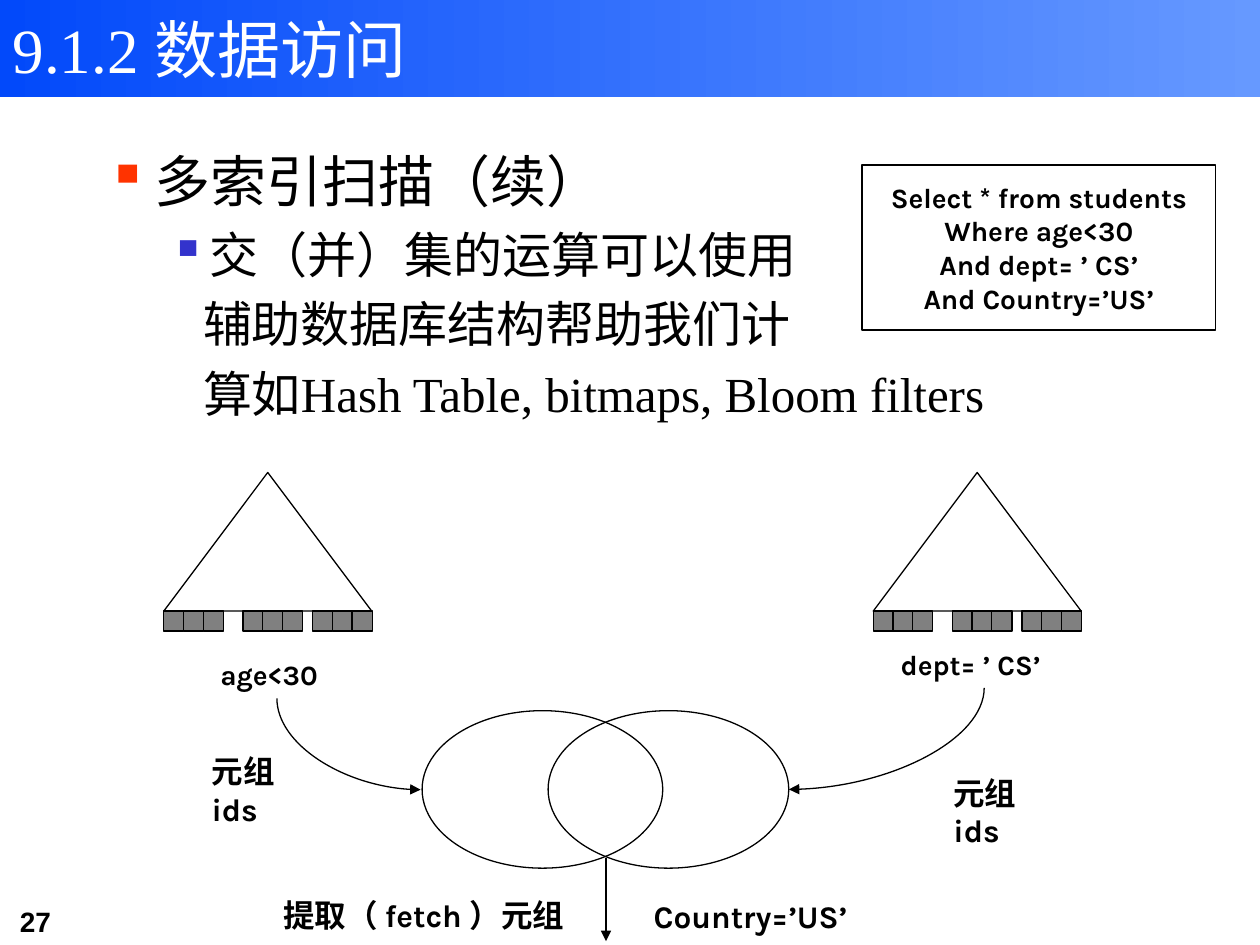
from dataclasses import dataclass

from lxml.etree import SubElement
from pptx import Presentation
from pptx.dml.color import RGBColor
from pptx.enum.shapes import MSO_CONNECTOR, MSO_SHAPE
from pptx.enum.text import MSO_ANCHOR, PP_ALIGN
from pptx.oxml.ns import qn
from pptx.util import Pt


@dataclass(frozen=True)
class Theme:
    black: str = "000000"
    white: str = "FFFFFF"
    cell: str = "808080"
    band_start: str = "0249FA"
    band_end: str = "6699FF"
    first_bullet: str = "FF3300"
    second_bullet: str = "3333CC"
    serif: str = "Times New Roman"
    label: str = "Karla"
    number: str = "Arial"
    chinese: str = "Noto Sans CJK SC"
    title_size: float = 36
    topic_size: float = 32
    detail_size: float = 28
    caption_size: float = 18
    small_size: float = 16
    line_width: float = 0.75


@dataclass(frozen=True)
class Label:
    text: str
    left: float
    top: float
    width: float
    height: float
    size: float
    font: str
    right_inset: float = 7.2


@dataclass(frozen=True)
class BodyLine:
    text: str
    size: float
    spacing: float
    before: float
    margin: float
    indent: float = 0
    level: int = 0
    bullet: str = ""


@dataclass(frozen=True)
class Curve:
    left: float
    top: float
    width: float
    height: float
    rotation: int
    flipped: bool


THEME = Theme()
LABELS = (
    Label("27", 4.3, 513.4, 88, 26.6, THEME.small_size, THEME.number),
    Label("age<30", 118.8, 372.2, 80.6, 26.6, THEME.small_size, THEME.label),
    Label("dept= ’ CS’", 507.6, 366.5, 109.4, 26.6, THEME.small_size, THEME.label),
    Label("元组ids", 113.8, 426.2, 77, 28.8, THEME.caption_size, THEME.label, 22),
    Label("元组ids", 537.8, 438.5, 77, 28.8, THEME.caption_size, THEME.label, 22),
    Label("Country=’US’", 366.5, 509, 192.2, 28.8, THEME.caption_size, THEME.label),
    Label("提取（ fetch ）元组", 154.8, 508.3, 249.8, 28.8, THEME.caption_size, THEME.label),
)
BODY = (
    BodyLine("多索引扫描（续）", THEME.topic_size, 41.8, 0, 27, -27, 0, THEME.first_bullet),
    BodyLine("交（并）集的运算可以使用", THEME.detail_size, 34, 5.6, 58.5, -22.5, 1, THEME.second_bullet),
    BodyLine("辅助数据库结构帮助我们计", THEME.detail_size, 34, 5.6, 55, level=1),
    BodyLine("算如Hash Table, bitmaps, Bloom filters", THEME.detail_size, 34, 5.6, 55, level=1),
)
QUERY = ("Select * from students", "Where age<30", "And dept= ’ CS’", "And Country=’US’")
INDEX_LEFTS = (93.6, 499)
LEAF_GROUPS = (0, 45.2, 85)
LEAF_PITCH = 11.3
LEAF_SIZE = 11.5
CURVES = (
    Curve(173.2, 384.1, 52.2, 82.1, 270, True),
    Curve(477.6, 366.3, 58, 111.6, 90, False),
)


def write(para, text, *, size, font, color=THEME.black, bold=False, align=PP_ALIGN.LEFT):
    para.alignment = align
    span = para.add_run()
    span.text = text
    span.font.size = Pt(size)
    span.font.bold = bold
    span.font.name = font
    span.font.color.rgb = RGBColor.from_string(color)
    SubElement(span.font._element, qn("a:ea")).set("typeface", THEME.chinese)


def add_figure(page, kind, left: float, top: float, width: float, height: float, fill: str = ""):
    shape = page.shapes.add_shape(kind, Pt(left), Pt(top), Pt(width), Pt(height))
    shape.shadow.inherit = False
    if fill:
        shape.fill.solid()
        shape.fill.fore_color.rgb = RGBColor.from_string(fill)
    else:
        shape.fill.background()
    shape.line.color.rgb = RGBColor.from_string(THEME.black)
    shape.line.width = Pt(THEME.line_width)
    return shape


def add_title(page) -> None:
    band = add_figure(page, MSO_SHAPE.RECTANGLE, 0, 0, 720, 55.4)
    band.line.fill.background()
    band.fill.gradient()
    band.fill.gradient_angle = 0
    for stop, color in zip(band.fill.gradient_stops, (THEME.band_start, THEME.band_end)):
        stop.color.rgb = RGBColor.from_string(color)
    page.shapes._spTree.insert(2, band._element)
    title = page.shapes.title
    title.left, title.top, title.width, title.height = Pt(0), Pt(0), Pt(566), Pt(94.3)
    title.text_frame.vertical_anchor = MSO_ANCHOR.TOP
    para = title.text_frame.paragraphs[0]
    para.line_spacing = Pt(45.6)
    write(para, "9.1.2 数据访问", size=THEME.title_size, font=THEME.serif, color=THEME.white)


def add_body(page) -> None:
    frame = page.shapes.add_textbox(Pt(54), Pt(77), Pt(612), Pt(181.4)).text_frame
    frame.word_wrap = True
    for number, line in enumerate(BODY):
        para = frame.add_paragraph() if number else frame.paragraphs[0]
        para.level = line.level
        properties = para._p.get_or_add_pPr()
        properties.set("marL", str(Pt(line.margin)))
        properties.set("indent", str(Pt(line.indent)))
        if line.bullet:
            color = SubElement(properties, qn("a:buClr"))
            SubElement(color, qn("a:srgbClr")).set("val", line.bullet)
            SubElement(properties, qn("a:buChar")).set("char", "▪")
        para.line_spacing = Pt(line.spacing)
        para.space_before = Pt(line.before)
        write(para, line.text, size=line.size, font=THEME.serif)


def add_query(page) -> None:
    box = add_figure(page, MSO_SHAPE.RECTANGLE, 492.5, 94.3, 202.3, 94.3, THEME.white)
    frame = box.text_frame
    frame.vertical_anchor = MSO_ANCHOR.MIDDLE
    for number, text in enumerate(QUERY):
        para = frame.add_paragraph() if number else frame.paragraphs[0]
        write(para, text, size=THEME.small_size, font=THEME.label, bold=True, align=PP_ALIGN.CENTER)


def add_index(page, left: float) -> None:
    add_figure(page, MSO_SHAPE.ISOSCELES_TRIANGLE, left, 270, 118.8, 79.2, THEME.white)
    for start in LEAF_GROUPS:
        for place in range(3):
            add_figure(page, MSO_SHAPE.RECTANGLE, left + start + place * LEAF_PITCH, 349.2,
                       LEAF_SIZE, LEAF_SIZE, THEME.cell)


def add_label(page, label: Label) -> None:
    box = page.shapes.add_textbox(Pt(label.left), Pt(label.top), Pt(label.width), Pt(label.height))
    frame = box.text_frame
    frame.word_wrap = True
    frame.margin_right = Pt(label.right_inset)
    write(frame.paragraphs[0], label.text, size=label.size, font=label.font, bold=True)


def add_arrow(page, kind, x1: float, y1: float, x2: float, y2: float):
    arrow = page.shapes.add_connector(kind, Pt(x1), Pt(y1), Pt(x2), Pt(y2))
    arrow.line.color.rgb = RGBColor.from_string(THEME.black)
    arrow.line.width = Pt(THEME.line_width)
    SubElement(arrow.line._get_or_add_ln(), qn("a:tailEnd")).set("type", "triangle")
    SubElement(arrow._element.spPr, qn("a:effectLst"))
    return arrow


def add_curve(page, curve: Curve) -> None:
    sides = (curve.left, curve.left + curve.width)
    start, end = reversed(sides) if curve.flipped else sides
    arrow = add_arrow(page, MSO_CONNECTOR.CURVE, start, curve.top, end, curve.top + curve.height)
    properties = arrow._element.spPr
    properties.find(qn("a:xfrm")).set("rot", str(curve.rotation * 60000))
    properties.find(qn("a:prstGeom")).set("prst", "curvedConnector2")


def main() -> None:
    deck = Presentation()
    deck.slide_width, deck.slide_height = Pt(720), Pt(540)
    page = deck.slides.add_slide(deck.slide_layouts[5])
    add_title(page)
    add_body(page)
    add_query(page)
    for left in INDEX_LEFTS:
        add_index(page, left)
    for left in (241.2, 313.2):
        add_figure(page, MSO_SHAPE.OVAL, left, 406.1, 137.5, 90)
    for curve in CURVES:
        add_curve(page, curve)
    add_arrow(page, MSO_CONNECTOR.STRAIGHT, 346.3, 490.3, 346.3, 537.8)
    for label in LABELS:
        add_label(page, label)
    deck.save("out.pptx")


if __name__ == "__main__":
    main()
